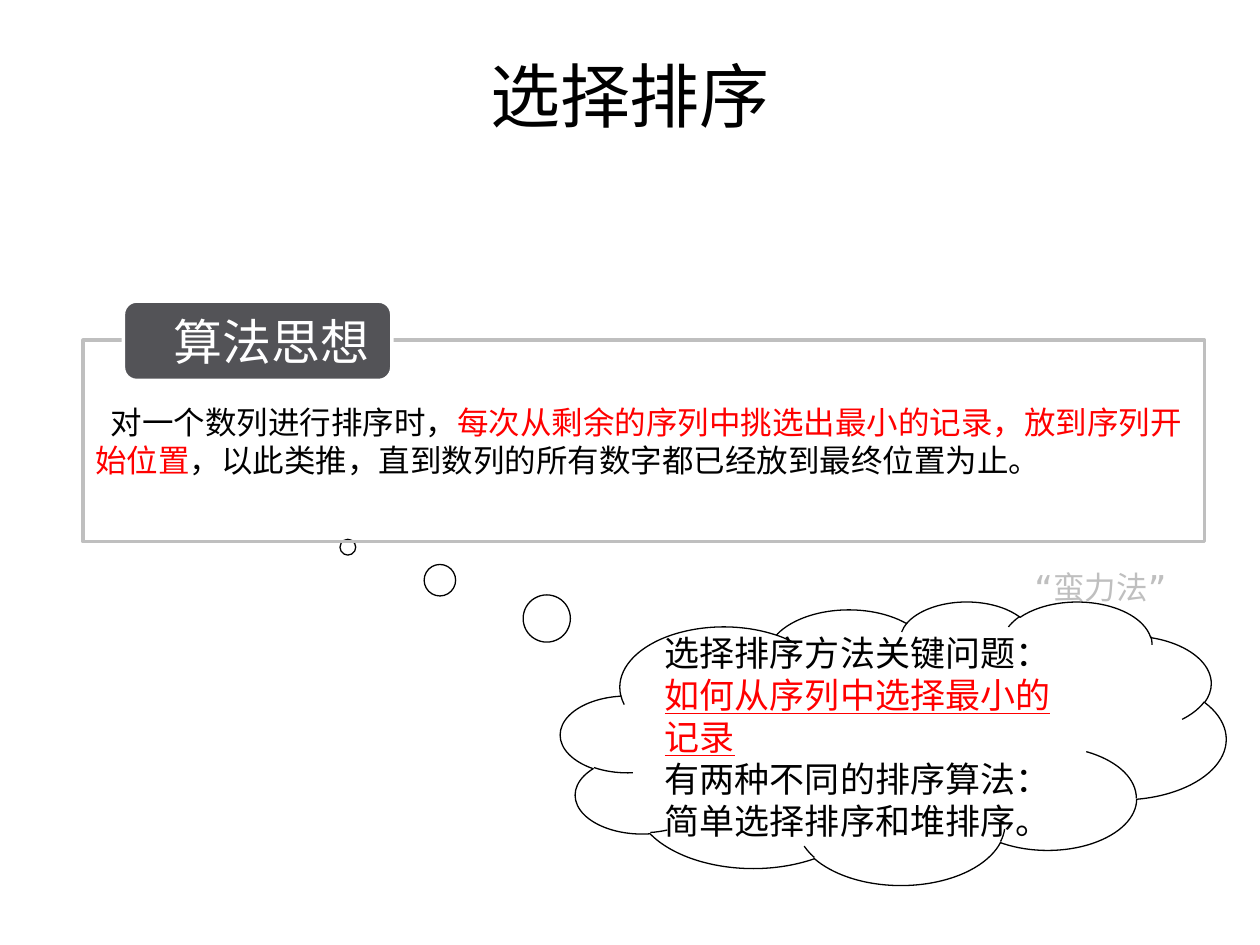
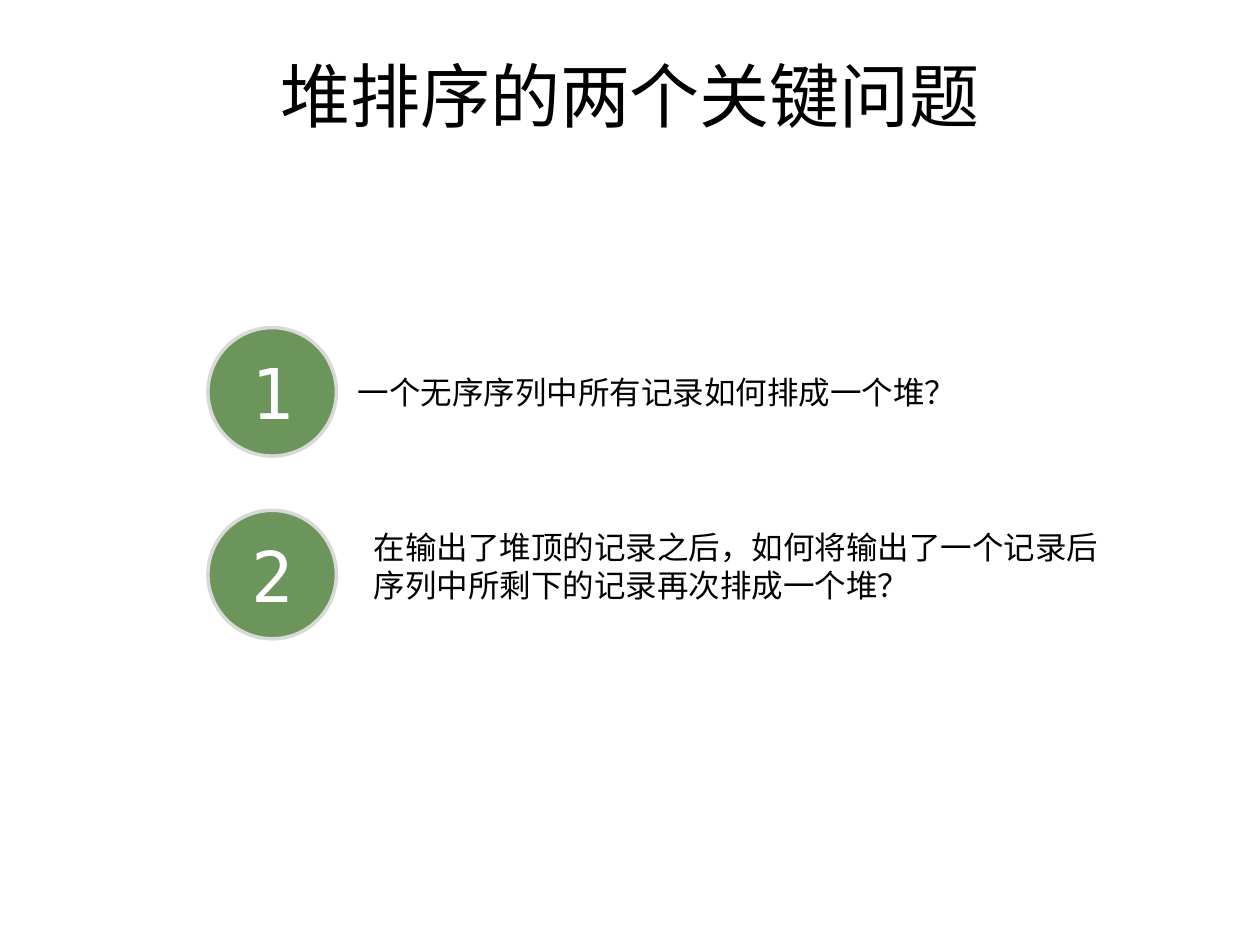
"""Builds two slides on selection sort and the key questions of heap sort."""
from dataclasses import dataclass

from lxml.etree import SubElement
from pptx import Presentation
from pptx.dml.color import RGBColor as Rgb
from pptx.enum.shapes import MSO_SHAPE as Shape
from pptx.enum.text import MSO_ANCHOR as Anchor, PP_ALIGN as Align
from pptx.oxml.ns import qn
from pptx.util import Inches, Pt


@dataclass(frozen=True)
class Theme:
    ink: str = "000000"
    paper: str = "FFFFFF"
    accent: str = "FF0000"
    muted: str = "BFBFBF"
    tab: str = "535357"
    badge: str = "6C955B"
    ring: str = "D9D9D9"
    title_size: int = 40
    tab_size: int = 28
    cloud_size: int = 20
    body_size: int = 18
    title_font: str = "Noto Sans CJK JP"
    tab_font: str = "Noto Sans CJK SC"
    body_font: str = "DejaVu Sans Mono"
    border: float = 2
    outline: float = 0.75


T = Theme()

SORT_TITLE = "选择排序"
IDEA_LABEL = "算法思想"
IDEA = [[
    ("对一个数列进行排序时，", T.ink),
    ("每次从剩余的序列中挑选出最小的记录，放到序列开始位置", T.accent),
    ("，以此类推，直到数列的所有数字都已经放到最终位置为止。", T.ink),
]]
NICKNAME = "“蛮力法”"
KEY_PROBLEM = [
    [("选择排序方法关键问题：", T.ink)],
    [("如何从序列中选择最小的记录", T.accent, True)],
    [("有两种不同的排序算法：简单选择排序和堆排序。", T.ink)],
]
HEAP_TITLE = "堆排序的两个关键问题"
QUESTIONS = [
    ("一个无序序列中所有记录如何排成一个堆？", (27.4, 29.1, 52, 4)),
    ("在输出了堆顶的记录之后，如何将输出了一个记录后序列中所剩下的记录再次排成一个堆？",
     (28.7, 41.4, 60.6, 10.1)),
]

WIDTH, HEIGHT = Inches(10), Inches(7.5)
COLUMNS, ROWS = 100, 75
TITLE_CELLS = (5, 3.6, 90, 7.8)
CLOUD_CELLS = (44.5, 47.7, 52.8, 22.5)
CLOUD_TAIL = (-0.82, -0.69)
FRAME_CELLS = (6.6, 27, 89, 16)
TAB_CELLS = (9.8, 23.9, 21.3, 6.3)
NICKNAME_CELLS = (81.1, 44.6, 14.5, 4)
BADGE_LEFT, BADGE_TOP, BADGE_PITCH, BADGE_SIDE = 16.5, 26, 14.5, 10.2


def place(cells):
    left, top, width, height = cells
    return (int(left * WIDTH / COLUMNS), int(top * HEIGHT / ROWS),
            int(width * WIDTH / COLUMNS), int(height * HEIGHT / ROWS))


def plain(words, color=T.ink):
    return [[(words, color)]]


def write(holder, paragraphs, size, font, align=Align.LEFT, anchor=Anchor.MIDDLE):
    frame = holder.text_frame
    frame.word_wrap = True
    frame.vertical_anchor = anchor
    for index, pieces in enumerate(paragraphs):
        paragraph = frame.paragraphs[0] if index == 0 else frame.add_paragraph()
        paragraph.alignment = align
        for words, color, *underline in pieces:
            run = paragraph.add_run()
            run.text = words
            run.font.size = Pt(size)
            run.font.name = font
            run.font.color.rgb = Rgb.from_string(color)
            run.font.underline = bool(underline)
            SubElement(run.font._element, qn("a:ea"), typeface=font)
    return frame


def add_label(slide, cells, paragraphs, size=T.body_size, font=T.body_font, **layout):
    write(slide.shapes.add_textbox(*place(cells)), paragraphs, size, font, **layout)


def add_panel(slide, kind, cells, fill, line, weight=T.border):
    panel = slide.shapes.add_shape(kind, *place(cells))
    panel.shadow.inherit = False
    if fill:
        panel.fill.solid()
        panel.fill.fore_color.rgb = Rgb.from_string(fill)
    else:
        panel.fill.background()
    panel.line.color.rgb = Rgb.from_string(line)
    panel.line.width = Pt(weight)
    return panel


def add_titled_slide(deck, title):
    slide = deck.slides.add_slide(deck.slide_layouts[6])
    add_label(slide, TITLE_CELLS, plain(title), T.title_size, T.title_font, align=Align.CENTER)
    return slide


def build_selection_sort(deck):
    slide = add_titled_slide(deck, SORT_TITLE)
    cloud = add_panel(slide, Shape.CLOUD_CALLOUT, CLOUD_CELLS, T.paper, T.ink, T.outline)
    for index, offset in enumerate(CLOUD_TAIL):
        cloud.adjustments[index] = offset
    write(cloud, KEY_PROBLEM, T.cloud_size, T.title_font)

    idea_frame = add_panel(slide, Shape.RECTANGLE, FRAME_CELLS, None, T.muted)
    idea = write(idea_frame, IDEA, T.body_size, T.body_font)
    idea.paragraphs[0]._p.get_or_add_pPr().set("indent", str(Inches(0.12)))

    tab = add_panel(slide, Shape.ROUNDED_RECTANGLE, TAB_CELLS, T.tab, T.paper)
    write(tab, plain(IDEA_LABEL, T.paper), T.tab_size, T.tab_font,
          Align.CENTER).margin_left = Inches(0.32)
    add_label(slide, NICKNAME_CELLS, plain(NICKNAME, T.muted), anchor=Anchor.TOP)


def build_heap_questions(deck):
    slide = add_titled_slide(deck, HEAP_TITLE)
    for index, (question, cells) in enumerate(QUESTIONS):
        badge_cells = (BADGE_LEFT, BADGE_TOP + index * BADGE_PITCH, BADGE_SIDE, BADGE_SIDE)
        badge = add_panel(slide, Shape.OVAL, badge_cells, T.badge, T.ring)
        write(badge, plain(str(index + 1), T.paper), T.title_size, T.body_font, Align.CENTER)
        add_label(slide, cells, plain(question), anchor=Anchor.TOP)


def main():
    deck = Presentation()
    deck.slide_width, deck.slide_height = WIDTH, HEIGHT
    build_selection_sort(deck)
    build_heap_questions(deck)
    deck.save("out.pptx")


if __name__ == "__main__":
    main()
